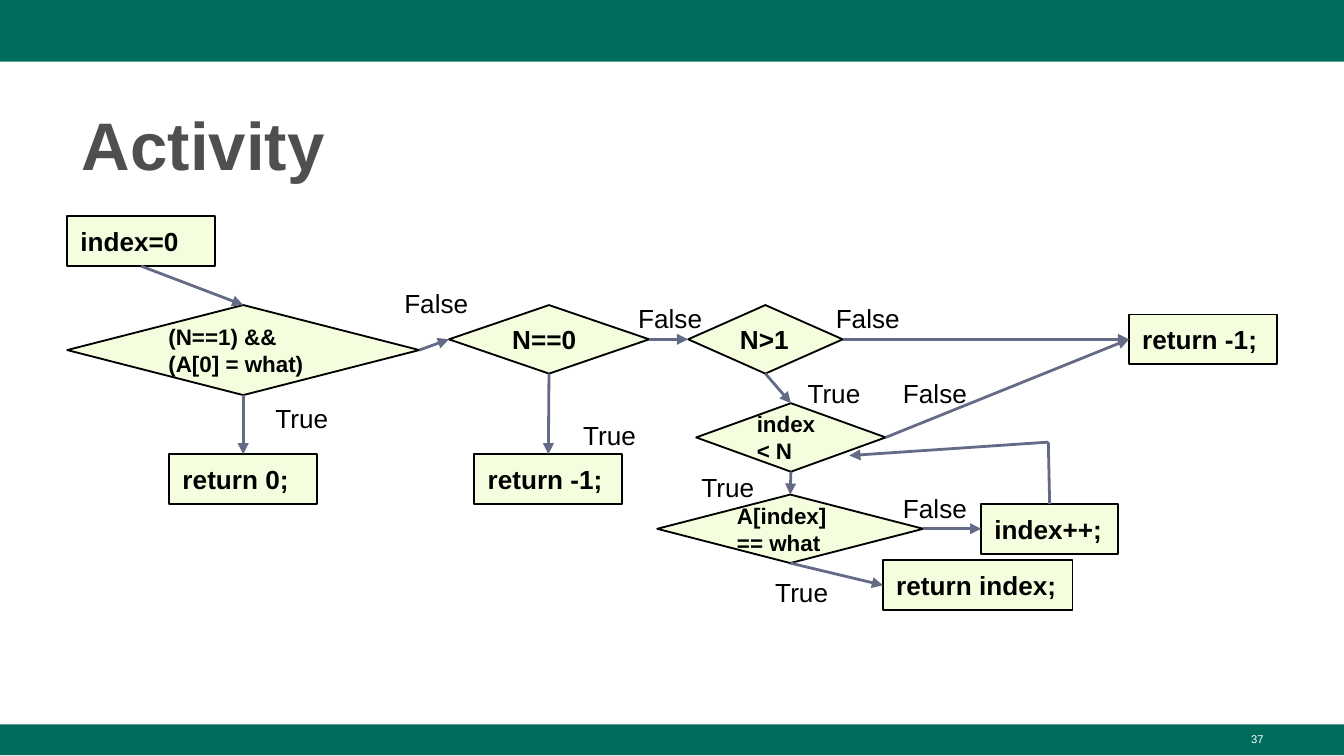
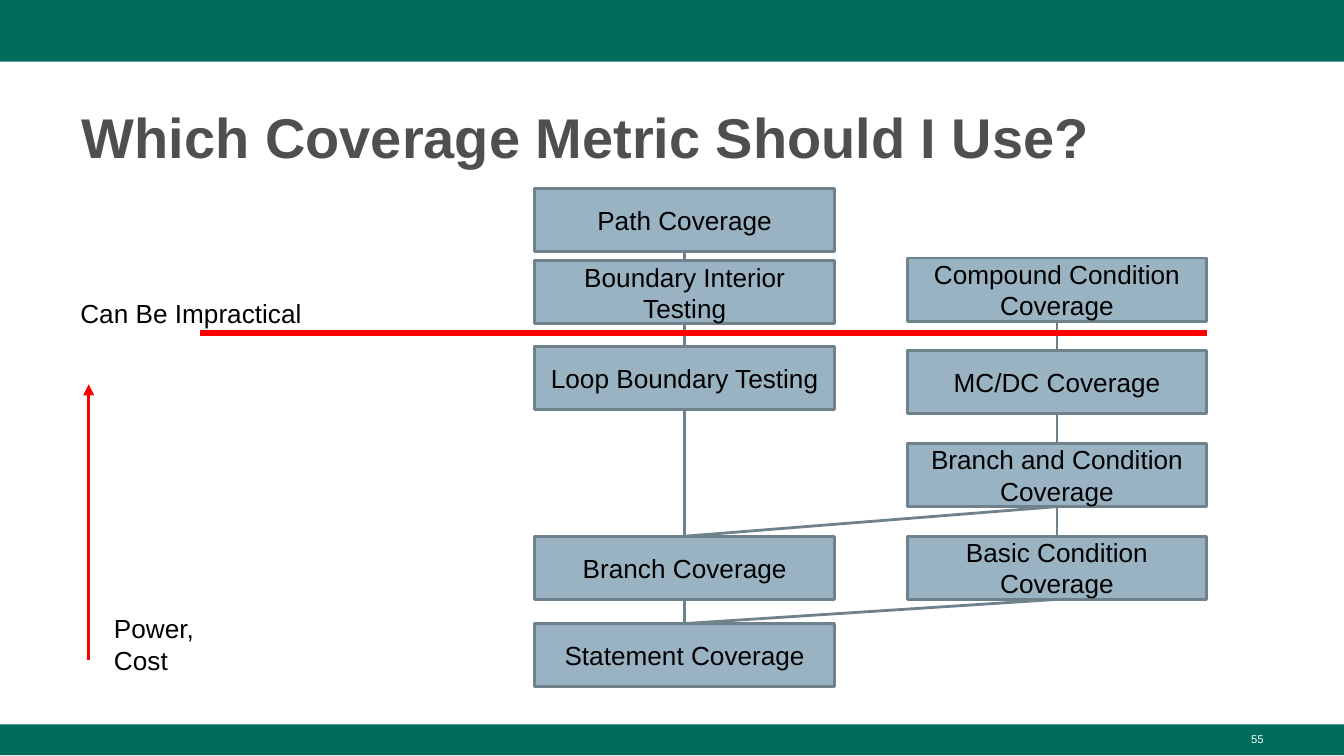
from dataclasses import dataclass
from typing import Any

from lxml import etree
from pptx import Presentation
from pptx.dml.color import RGBColor
from pptx.enum.shapes import MSO_CONNECTOR, MSO_SHAPE
from pptx.enum.text import MSO_ANCHOR, MSO_AUTO_SIZE, PP_ALIGN
from pptx.oxml.ns import qn
from pptx.util import Inches, Pt

RECTANGLE, DIAMOND = MSO_SHAPE.RECTANGLE, MSO_SHAPE.DIAMOND
STRAIGHT = MSO_CONNECTOR.STRAIGHT
LEFT_ALIGN, CENTER_ALIGN, RIGHT_ALIGN = PP_ALIGN.LEFT, PP_ALIGN.CENTER, PP_ALIGN.RIGHT
ANCHOR_TOP, ANCHOR_MIDDLE = MSO_ANCHOR.TOP, MSO_ANCHOR.MIDDLE
NO_AUTOFIT = MSO_AUTO_SIZE.NONE
TOP, LEFT, BOTTOM, RIGHT = range(4)

WHITE = RGBColor(0xFF, 0xFF, 0xFF)
BLACK = RGBColor(0x00, 0x00, 0x00)
BAND_GREEN = RGBColor(0x00, 0x6C, 0x5C)
TITLE_GRAY = RGBColor(0x4F, 0x4F, 0x4F)
FLOW_FILL = RGBColor(0xF4, 0xFE, 0xDE)
FLOW_ARROW = RGBColor(0x64, 0x6B, 0x86)
METRIC_FILL = RGBColor(0x99, 0xB3, 0xC2)
METRIC_LINE = RGBColor(0x6F, 0x82, 0x8C)
RED = RGBColor(0xFF, 0x00, 0x00)

FONT_NAME = "Arial"
SLIDE_WIDTH = Inches(10)
SLIDE_HEIGHT = SLIDE_WIDTH * 9 // 16
METRIC_WIDTH, METRIC_HEIGHT = 2.23, 0.47


@dataclass(frozen=True)
class TextStyle:
    size: float = 14
    color: RGBColor = BLACK
    bold: bool = False
    alignment: Any = LEFT_ALIGN
    anchor: Any = ANCHOR_TOP
    vertical_inset: float = 0.1
    line_spacing: float = 1.0


@dataclass(frozen=True)
class LineStyle:
    color: RGBColor
    width: float = 1.5
    arrow: bool = False


@dataclass(frozen=True)
class Box:
    text: str
    left: float
    top: float
    width: float
    height: float
    kind: Any = RECTANGLE
    size: float = 14


@dataclass(frozen=True)
class Label:
    text: str
    left: float
    top: float
    width: float
    height: float = 0.38


@dataclass(frozen=True)
class Link:
    start: str
    end: str
    start_side: int = BOTTOM
    end_side: int = TOP


LABEL_TEXT = TextStyle()
METRIC_TEXT = TextStyle(alignment=CENTER_ALIGN, anchor=ANCHOR_MIDDLE)
NUMBER_TEXT = TextStyle(size=6, color=WHITE, alignment=RIGHT_ALIGN, vertical_inset=0.05)
ARROW = LineStyle(FLOW_ARROW, arrow=True)
METRIC_LINK = LineStyle(METRIC_LINE)


def apply_format(target: Any, values: dict[str, Any]) -> None:
    for name, value in values.items():
        setattr(target, name, value)


def write_text(shape: Any, text: str, style: TextStyle) -> None:
    frame = shape.text_frame
    frame.text = text
    apply_format(frame, {
        "word_wrap": True,
        "auto_size": NO_AUTOFIT,
        "vertical_anchor": style.anchor,
        "margin_left": Inches(0.1),
        "margin_right": Inches(0.1),
        "margin_top": Inches(style.vertical_inset),
        "margin_bottom": Inches(style.vertical_inset),
    })
    paragraph = frame.paragraphs[0]
    apply_format(paragraph, {"alignment": style.alignment, "line_spacing": style.line_spacing})
    font = paragraph.runs[0].font
    apply_format(font, {"name": FONT_NAME, "size": Pt(style.size), "bold": style.bold})
    font.color.rgb = style.color


def add_box(slide: Any, box: Box, fill: RGBColor, line: LineStyle | None = None,
            style: TextStyle | None = None) -> Any:
    shape = slide.shapes.add_shape(
        box.kind, Inches(box.left), Inches(box.top), Inches(box.width), Inches(box.height))
    shape.shadow.inherit = False
    shape.fill.solid()
    shape.fill.fore_color.rgb = fill
    if line is None:
        shape.line.fill.background()
    else:
        shape.line.color.rgb = line.color
        shape.line.width = Pt(line.width)
    if style is not None:
        write_text(shape, box.text, style)
    return shape


def add_label(slide: Any, label: Label, style: TextStyle = LABEL_TEXT) -> None:
    shape = slide.shapes.add_textbox(
        Inches(label.left), Inches(label.top), Inches(label.width), Inches(label.height))
    write_text(shape, label.text, style)


def add_line(slide: Any, start: tuple[float, float], end: tuple[float, float],
             style: LineStyle) -> Any:
    connector = slide.shapes.add_connector(
        STRAIGHT, Inches(start[0]), Inches(start[1]), Inches(end[0]), Inches(end[1]))
    connector.line.color.rgb = style.color
    connector.line.width = Pt(style.width)
    properties = connector.element.spPr
    if style.arrow:
        etree.SubElement(properties.find(qn("a:ln")), qn("a:tailEnd"), type="triangle")
    etree.SubElement(properties, qn("a:effectLst"))
    return connector


def add_links(slide: Any, links: list[Link], shapes: dict[str, Any], style: LineStyle) -> None:
    for link in links:
        connector = add_line(slide, (0, 0), (1, 1), style)
        connector.begin_connect(shapes[link.start], link.start_side)
        connector.end_connect(shapes[link.end], link.end_side)


def add_base_slide(presentation: Any, title: str, title_size: float, number: int) -> Any:
    slide = presentation.slides.add_slide(presentation.slide_layouts[5])
    # Bands
    for top, height in ((0, 0.46), (5.39, 0.23)):
        add_box(slide, Box("", 0, top, 10, height), BAND_GREEN)
    # Title and slide number
    placeholder = slide.shapes.title
    apply_format(placeholder, {"left": Inches(0.51), "top": Inches(0.67),
                               "width": Inches(8.99), "height": Inches(0.73)})
    write_text(placeholder, title, TextStyle(
        title_size, TITLE_GRAY, bold=True, vertical_inset=0.05, line_spacing=1.08))
    add_label(slide, Label(str(number), 7.17, 5.4, 2.33, 0.23), NUMBER_TEXT)
    return slide


def build_activity(presentation: Any) -> None:
    slide = add_base_slide(presentation, "Activity", 36, 37)

    # Steps and decisions
    boxes = {
        "start": Box("index=0", 0.5, 1.61, 1.1, 0.37),
        "single": Box("(N==1) && (A[0] = what)", 0.5, 2.27, 2.62, 0.67, DIAMOND, 12),
        "return zero": Box("return 0;", 1.26, 3.38, 1.1, 0.37),
        "empty": Box("N==0", 3.34, 2.27, 1.49, 0.51, DIAMOND),
        "return empty": Box("return -1;", 3.53, 3.38, 1.1, 0.37),
        "many": Box("N>1", 5.12, 2.27, 1.15, 0.51, DIAMOND),
        "not found": Box("return -1;", 8.4, 2.34, 1.1, 0.37),
        "loop": Box("index < N", 5.18, 3, 1.41, 0.51, DIAMOND, 12),
        "match": Box("A[index] == what", 4.89, 3.68, 1.98, 0.51, DIAMOND, 12),
        "found": Box("return index;", 6.57, 4.17, 1.41, 0.37),
        "increment": Box("index++;", 7.3, 3.75, 1.02, 0.37),
    }
    outline = LineStyle(BLACK, 1)
    shapes = {
        name: add_box(slide, box, FLOW_FILL, outline, TextStyle(
            box.size, bold=True, anchor=ANCHOR_MIDDLE, vertical_inset=0.05))
        for name, box in boxes.items()
    }

    # Arrows
    add_links(slide, [
        Link("start", "single"),
        Link("single", "return zero"),
        Link("single", "empty", RIGHT, LEFT),
        Link("empty", "return empty"),
        Link("empty", "many", RIGHT, LEFT),
        Link("many", "not found", RIGHT, LEFT),
        Link("many", "loop"),
        Link("loop", "not found", RIGHT, LEFT),
        Link("loop", "match"),
        Link("match", "increment", RIGHT, LEFT),
        Link("match", "found", BOTTOM, LEFT),
    ], shapes, ARROW)

    # Way back into the loop
    corner = (7.8, 3.29)
    riser = add_line(slide, (7.81, 3.75), corner, LineStyle(FLOW_ARROW))
    riser.begin_connect(shapes["increment"], TOP)
    add_line(slide, corner, (6.32, 3.39), ARROW)

    # Branch labels
    for label in (
        Label("False", 2.91, 2.04, 0.93),
        Label("False", 4.65, 2.15, 0.93),
        Label("False", 6.12, 2.15, 1.02),
        Label("False", 6.62, 2.71, 1.02),
        Label("False", 6.62, 3.56, 1.02),
        Label("True", 1.95, 2.89, 0.65),
        Label("True", 4.24, 3.02, 0.65),
        Label("True", 5.91, 2.71, 0.65),
        Label("True", 5.12, 3.41, 0.6),
        Label("True", 5.67, 4.19, 0.6),
    ):
        add_label(slide, label)


def build_metrics(presentation: Any) -> None:
    slide = add_base_slide(presentation, "Which Coverage Metric Should I Use?", 30, 55)
    left_column, right_column = 3.98, 6.75

    def add_metric(text: str, left: float, top: float) -> Any:
        box = Box(text, left, top, METRIC_WIDTH, METRIC_HEIGHT)
        return add_box(slide, box, METRIC_FILL, METRIC_LINK, METRIC_TEXT)

    # Metrics
    path_metrics = {"Path Coverage": 1.4, "Loop Boundary Testing": 2.58,
                    "Branch Coverage": 3.99, "Statement Coverage": 4.64}
    condition_metrics = ["Compound Condition Coverage", "MC/DC Coverage",
                         "Branch and Condition Coverage", "Basic Condition Coverage"]
    shapes = {text: add_metric(text, left_column, top) for text, top in path_metrics.items()}
    for row, text in enumerate(condition_metrics):
        shapes[text] = add_metric(text, right_column, 1.92 + 0.69 * row)

    # Each metric subsumes the one below it
    links = [
        Link(upper, lower)
        for column in (list(path_metrics), condition_metrics)
        for upper, lower in zip(column, column[1:])
    ]
    links += [Link("Branch and Condition Coverage", "Branch Coverage"),
              Link("Basic Condition Coverage", "Statement Coverage")]
    add_links(slide, links, shapes, METRIC_LINK)

    # This metric covers the middle of the top link
    add_metric("Boundary Interior Testing", left_column, 1.94)

    # Limit of practicality and cost axis
    add_line(slide, (8.98, 2.48), (1.49, 2.48), LineStyle(RED, 3))
    add_line(slide, (0.66, 4.91), (0.66, 2.86), LineStyle(RED, arrow=True))
    add_label(slide, Label("Power, Cost", 0.75, 4.46, 1.16, 0.31))
    add_label(slide, Label("Can Be Impractical", 0.5, 2.11, 2.57, 0.22))


def main() -> None:
    presentation = Presentation()
    presentation.slide_width = SLIDE_WIDTH
    presentation.slide_height = SLIDE_HEIGHT
    build_activity(presentation)
    build_metrics(presentation)
    presentation.save("out.pptx")


if __name__ == "__main__":
    main()
